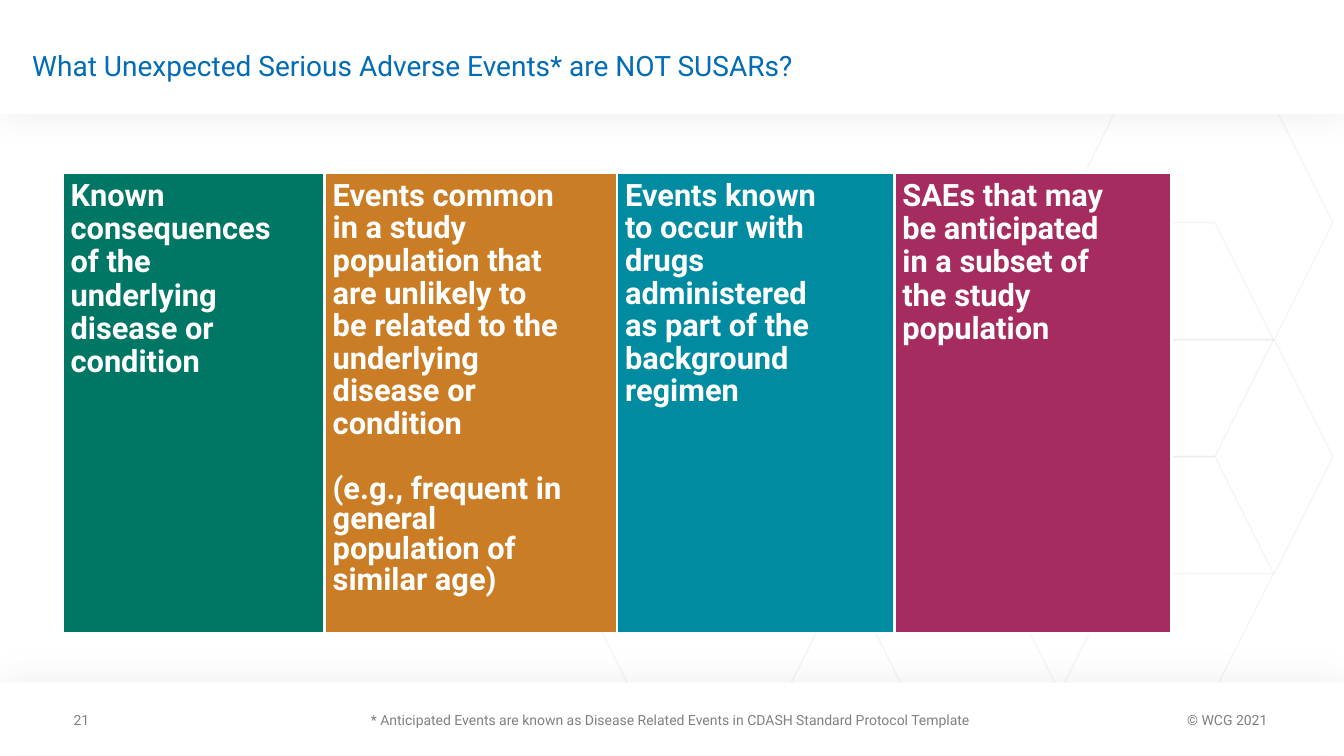
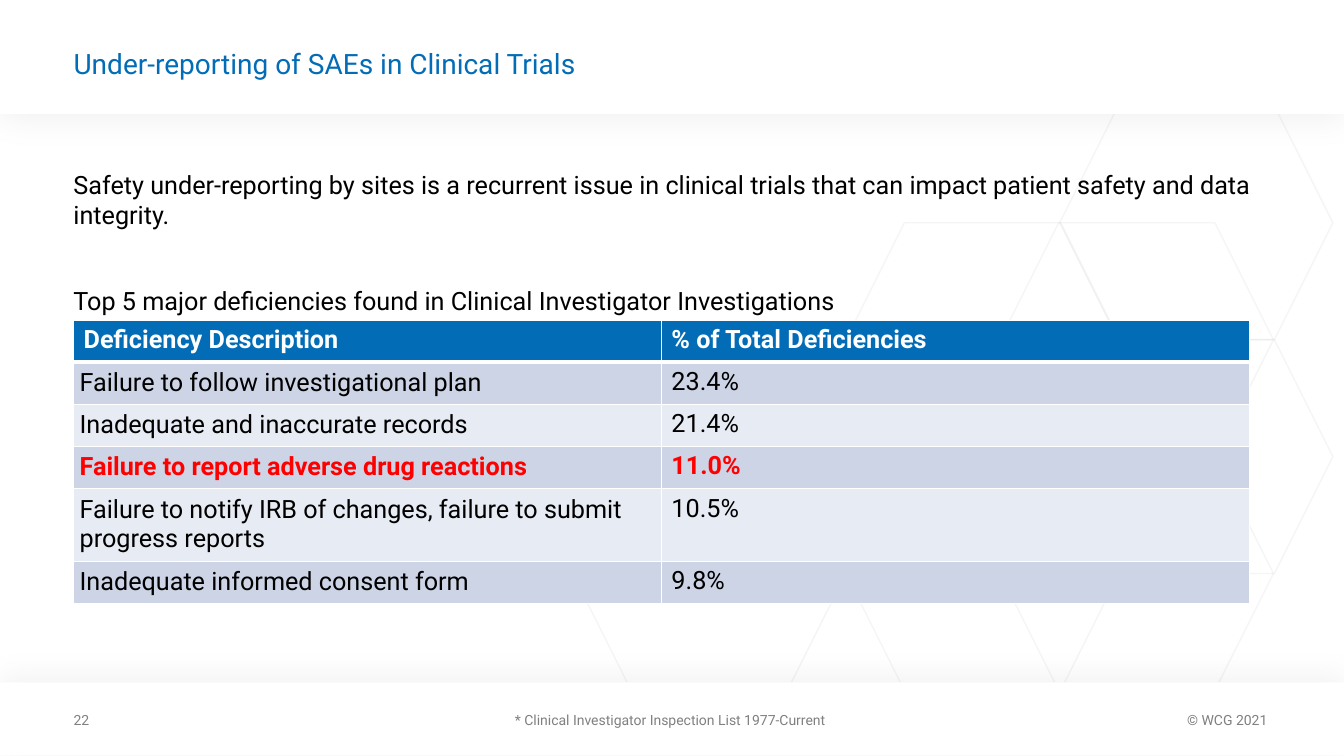
from lxml import etree
from pptx import Presentation
from pptx.dml.color import RGBColor
from pptx.enum.shapes import MSO_SHAPE
from pptx.enum.text import MSO_ANCHOR, PP_ALIGN
from pptx.oxml.ns import qn
from pptx.util import Pt

SCALE = 9144
WIDE, HIGH = 1333, 750
HEX, RECT = MSO_SHAPE.HEXAGON, MSO_SHAPE.RECTANGLE
TOP = MSO_ANCHOR.TOP
LEFT, MID, RIGHT = PP_ALIGN.LEFT, PP_ALIGN.CENTER, PP_ALIGN.RIGHT
PLAIN = "{2D5ABB26-0587-4C30-8999-92F81FD0307C}"

HUES = {
    "white": "FFFFFF", "black": "000000", "blue": "026CB6", "grey": "808080",
    "mesh": "BFBFBF", "red": "FF0000", "green": "007664", "gold": "CA7D24",
    "teal": "008BA0", "plum": "A62C5F", "dark": "CCD4E5", "light": "E7EBF3",
}
FONTS = {
    "title": ("blue", {"size": Pt(20), "bold": False}),
    "foot": ("grey", {"size": Pt(10), "bold": False}),
    "body": ("black", {"size": Pt(18), "bold": False}),
    "head": ("white", {"size": Pt(18), "bold": True}),
    "alert": ("red", {"size": Pt(18), "bold": True}),
    "card": ("white", {"size": Pt(22), "bold": True}),
}
MESH = [(992, 221), (839, 221), (780, 337), (839, 453), (992, 453),
        (1051, 337), (568, 453), (1051, 105)]
HEAD, FOOT = (0, 0, WIDE, 113), (0, 677, WIDE, 72)

CARDS = [
    ("green", 260, 37, Pt(23.8),
     "Known consequences of the underlying disease or condition"),
    ("gold", 290, 55, 0.9,
     "Events common in a study population that are unlikely to be related "
     "to the underlying disease or condition"),
    ("teal", 275, 61, 0.9,
     "Events known to occur with drugs administered as part of the "
     "background regimen"),
    ("plum", 275, 54, Pt(23.8),
     "SAEs that may be anticipated in a subset of the study population"),
]
NOTE = "(e.g., frequent in general population of similar age)"
FAULTS = [
    ("Deficiency Description", "% of Total Deficiencies"),
    ("Failure to follow investigational plan", "23.4%"),
    ("Inadequate and inaccurate records", "21.4%"),
    ("Failure to report adverse drug reactions", "11.0%"),
    ("Failure to notify IRB of changes, failure to submit progress reports",
     "10.5%"),
    ("Inadequate informed consent form", "9.8%"),
]


def px(*nums):
    """Turn px lengths into EMU."""
    return [num * SCALE for num in nums]


def rgb(hue):
    """Look up a colour by name."""
    return RGBColor.from_string(HUES[hue])


def write(frame, text, look, pads=(0, 0, 0, 0), align=LEFT, lead=None):
    """Fill a text frame or cell with one styled paragraph."""
    sides = ("margin_left", "margin_top", "margin_right", "margin_bottom")
    for side, pad in zip(sides, px(*pads)):
        setattr(frame, side, pad)
    frame.vertical_anchor = TOP
    para = getattr(frame, "text_frame", frame).paragraphs[0]
    para.alignment = align
    if lead:
        para.line_spacing = lead
    run = para.add_run()
    run.text = text
    hue, style = FONTS[look]
    for key, val in {"name": "Roboto", **style}.items():
        setattr(run.font, key, val)
    run.font.color.rgb = rgb(hue)


def label(slide, box, text, look, **opts):
    """Add a wrapped text box."""
    frame = slide.shapes.add_textbox(*px(*box)).text_frame
    frame.word_wrap = True
    write(frame, text, look, **opts)


def cast(shape, blur, angle):
    """Give a band its soft shadow."""
    effects = shape._element.spPr.find(qn("a:effectLst"))
    glow = etree.SubElement(
        effects, qn("a:outerShdw"), blurRad=str(Pt(blur)), dist=str(Pt(3)),
        dir=str(angle * 60000), algn="ctr", rotWithShape="0")
    tint = etree.SubElement(glow, qn("a:srgbClr"), val=HUES["black"])
    etree.SubElement(tint, qn("a:alpha"), val="6000")


def band(slide, box, blur, angle):
    """Add a white band with a shadow."""
    shape = slide.shapes.add_shape(RECT, *px(*box))
    shape.shadow.inherit = False
    shape.fill.solid()
    shape.fill.fore_color.rgb = rgb("white")
    shape.line.fill.background()
    cast(shape, blur, angle)


def mesh(slide):
    """Draw the faint hexagons behind the page."""
    for left, top in MESH:
        shape = slide.shapes.add_shape(HEX, *px(left, top, 271, 232))
        shape.shadow.inherit = False
        shape.fill.background()
        shape.line.width = Pt(1)
        shape.line.color.rgb = rgb("mesh")
        tint = next(shape._element.spPr.iter(qn("a:srgbClr")))
        etree.SubElement(tint, qn("a:alpha"), val="14000")


def footer(slide, box, num, note):
    """Place the page number, note and rights line in the foot band."""
    left, top = box[:2]
    parts = [(73, 47, str(num), LEFT), (294, 741, note, MID),
             (1143, 114, "© WCG 2021", RIGHT)]
    for shift, width, text, align in parts:
        label(slide, (left + shift, top + 29, width, 16), text, "foot",
              align=align)


def page(deck, num, title, spot, note):
    """Start a slide with its shared parts."""
    slide = deck.slides.add_slide(deck.slide_layouts[6])
    mesh(slide)
    band(slide, HEAD, 24, 90)
    band(slide, FOOT, 23, 270)
    label(slide, (*spot, 1150, 63), title, "title", lead=0.9 if num > 21 else None)
    footer(slide, FOOT, num, note)
    return slide


def grid(slide, box, cols, rows):
    """Add a table without a style."""
    table = slide.shapes.add_table(len(rows), len(cols), *px(*box)).table
    table.first_row = table.horz_banding = False
    table._tbl.tblPr.find(qn("a:tableStyleId")).text = PLAIN
    for col, size in zip(table.columns, px(*cols)):
        col.width = size
    for row, size in zip(table.rows, px(*rows)):
        row.height = size
    return table


def paint(cell, hue, edges):
    """Fill a cell and draw its white edges, given in L, R, T, B order."""
    cell.fill.solid()
    cell.fill.fore_color.rgb = rgb(hue)
    for spot, (side, size) in enumerate(edges.items()):
        line = etree.Element(qn("a:ln" + side), w=str(Pt(size)))
        fill = etree.SubElement(line, qn("a:solidFill"))
        etree.SubElement(fill, qn("a:srgbClr"), val=HUES["white"])
        cell._tc.tcPr.insert(spot, line)


def cards(slide, box):
    """Build the four coloured columns."""
    table = grid(slide, box, [card[1] for card in CARDS], (286, box[3] - 286))
    for col, (hue, _, pad, lead, text) in enumerate(CARDS):
        upper, lower = table.cell(0, col), table.cell(1, col)
        write(upper, text, "card", pads=(8, 8, pad, 0), lead=lead)
        for cell, side in ((upper, "T"), (lower, "B")):
            paint(cell, hue, {"L": 2.25, "R": 2.25, side: 2.25})
    write(table.cell(1, 1), NOTE, "card", pads=(8, 16, 43, 0), lead=Pt(21.6))


def faults(slide, box):
    """Build the table of deficiencies."""
    half = box[2] // 2
    table = grid(slide, box, (half, half), (41, 41, 41, 41, 70, 41))
    for row, texts in enumerate(FAULTS):
        look = {0: "head", 3: "alert"}.get(row, "body")
        hue = ("light", "dark")[row % 2] if row else "blue"
        for col, text in enumerate(texts):
            cell = table.cell(row, col)
            pads = (6, 6, 6, 6) if row and not col else (10, 5, 10, 5)
            write(cell, text, look, pads=pads)
            paint(cell, hue, {"L": 1, "R": 1, "T": 3 if row == 1 else 1,
                              "B": 1 if row else 3})


def main():
    """Build and save the deck."""
    deck = Presentation()
    deck.slide_width, deck.slide_height = px(WIDE, HIGH)

    slide = page(deck, 21, "What Unexpected Serious Adverse Events* are NOT SUSARs?",
                 (32, 48), "* Anticipated Events are known as Disease Related "
                 "Events in CDASH Standard Protocol Template")
    cards(slide, (62, 171, 1100, 457))

    slide = page(deck, 22, "Under-reporting of SAEs in Clinical Trials",
                 (73, 50), "* Clinical Investigator Inspection List 1977-Current")
    faults(slide, (73, 318, 1166, 275))
    pads = (10, 5, 10, 5)
    label(slide, (63, 278, 1093, 40), "Top 5 major deficiencies found in "
          "Clinical Investigator Investigations", "body", pads=pads)
    label(slide, (63, 163, 1198, 71), "Safety under-reporting by sites is a "
          "recurrent issue in clinical trials that can impact patient safety "
          "and data integrity.", "body", pads=pads)
    deck.save("out.pptx")


if __name__ == "__main__":
    main()
